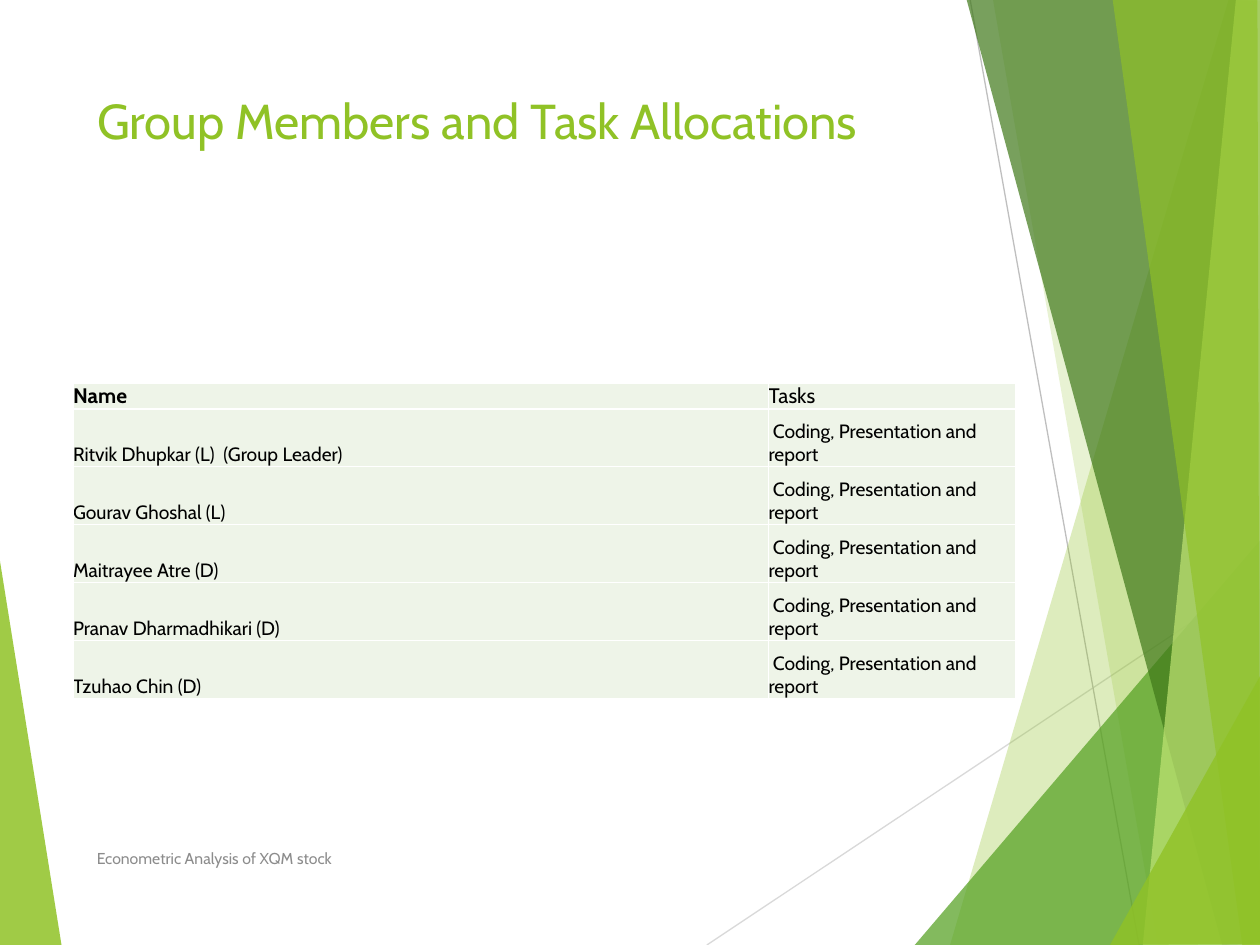
import pptx
import pptx.util
import pptx.dml.color
import pptx.enum.shapes
import pptx.enum.text
import pptx.oxml
import pptx.oxml.ns
from pptx.util import Inches

THEME = {
    "font": "Cabin",
    "accent": "90C226", "text": "000000", "muted": "8C8C8C",
    "cell": "EEF4E8", "border": "FFFFFF",
    "title_size": 28, "header_size": 12, "body_size": 11, "footer_size": 9,
    "line_width": 0.75, "border_width": 1,
}

TITLE = "Group Members and Task Allocations"
FOOTER = "Econometric Analysis of XQM stock"
HEADER = ("Name", "Tasks")
MEMBERS = [
    "Ritvik Dhupkar (L)  (Group Leader)",
    "Gourav Ghoshal (L)",
    "Maitrayee Atre (D)",
    "Pranav Dharmadhikari (D)",
    "Tzuhao Chin (D)",
]
TASK = " Coding, Presentation and report"
COLUMN_WIDTHS = (5.52, 1.96)
HEADER_HEIGHT, MEMBER_HEIGHT = 0.2, 0.46

LEFT_FACET = ("90C226", 85, [(-0.01, 4.39), (0.49, 7.51), (-0.01, 7.5)])
RAYS = [
    ("D9D9D9", (5.61, 7.5), (10.01, 4.57)),
    ("BFBFBF", (7.7, 0), (9.04, 7.5)),
]
RIGHT_FACETS = [
    ("90C226", 30, [(9.75, 0), (7.54, 7.5), (10.02, 7.51), (10.01, 0.01)]),
    ("90C226", 20, [(7.88, -0.01), (9.19, 7.5), (10.01, 7.5), (10.01, -0.01)]),
    ("54A021", 72, [(7.26, 7.5), (10, 4.29), (10.01, 7.5)]),
    ("3F7819", 70, [(7.67, -0.01), (9.7, 7.5), (10.01, 7.49), (10.01, -0.01)]),
    ("C0E474", 70, [(9.81, -0.01), (9.07, 7.5), (10.01, 7.5), (10, -0.01)]),
    ("90C226", 65, [(8.83, -0.01), (9.86, 7.5), (10, 7.5), (9.98, -0.01)]),
    ("90C226", 80, [(8.81, 7.5), (10.01, 5.35), (10.01, 7.49)]),
]


def rgb(color):
    return pptx.dml.color.RGBColor.from_string(color)


def add_child(parent, tag, **attributes):
    child = pptx.oxml.parse_xml(f"<{tag} {pptx.oxml.ns.nsdecls('a')}/>")
    for key, value in attributes.items():
        child.set(key, str(value))
    parent.append(child)
    return child


def write(frame, text, size, color, bold=False):
    frame.text = text
    frame.word_wrap = True
    font = frame.paragraphs[0].runs[0].font
    font.name, font.size, font.bold = THEME["font"], pptx.util.Pt(size), bold
    font.color.rgb = rgb(color)
    frame.paragraphs[0].alignment = pptx.enum.text.PP_ALIGN.LEFT


def add_facet(slide, color, opacity, corners):
    start, *rest = [(Inches(x), Inches(y)) for x, y in corners]
    outline = slide.shapes.build_freeform(*start)
    outline.add_line_segments(rest, close=True)
    facet = outline.convert_to_shape()
    facet.shadow.inherit = False
    facet.line.fill.background()
    facet.fill.solid()
    facet.fill.fore_color.rgb = rgb(color)
    paint = facet.fill._xPr.find(".//" + pptx.oxml.ns.qn("a:srgbClr"))
    add_child(paint, "a:alpha", val=opacity * 1000)


def add_ray(slide, color, start, end):
    ray = slide.shapes.add_connector(
        pptx.enum.shapes.MSO_CONNECTOR.STRAIGHT,
        *[Inches(length) for length in start + end])
    ray.line.color.rgb = rgb(color)
    ray.line.width = pptx.util.Pt(THEME["line_width"])
    add_child(ray._element.spPr, "a:effectLst")


def format_cell(cell, text, size, bold):
    cell.margin_left = cell.margin_right = cell.margin_top = cell.margin_bottom = 0
    cell.vertical_anchor = pptx.enum.text.MSO_ANCHOR.BOTTOM
    properties = cell._tc.get_or_add_tcPr()
    for side in "LRTB":
        border = add_child(properties, f"a:ln{side}",
                           w=pptx.util.Pt(THEME["border_width"]))
        paint = add_child(border, "a:solidFill")
        add_child(paint, "a:srgbClr", val=THEME["border"])
    cell.fill.solid()
    cell.fill.fore_color.rgb = rgb(THEME["cell"])
    write(cell.text_frame, text, size, THEME["text"], bold)


def add_allocations(slide):
    rows = [HEADER] + [(member, TASK) for member in MEMBERS]
    heights = [HEADER_HEIGHT] + [MEMBER_HEIGHT] * len(MEMBERS)
    allocations = slide.shapes.add_table(
        len(rows), len(HEADER), Inches(0.58), Inches(3.04),
        Inches(sum(COLUMN_WIDTHS)), Inches(sum(heights))).table
    allocations.first_row = allocations.horz_banding = False
    for column, width in zip(allocations.columns, COLUMN_WIDTHS):
        column.width = Inches(width)
    for r, (texts, height) in enumerate(zip(rows, heights)):
        allocations.rows[r].height = Inches(height)
        size = THEME["body_size"] if r else THEME["header_size"]
        for c, text in enumerate(texts):
            format_cell(allocations.cell(r, c), text, size, r == c == 0)


def main():
    deck = pptx.Presentation()
    deck.slide_width, deck.slide_height = Inches(10), Inches(7.5)
    slide = deck.slides.add_slide(deck.slide_layouts[5])

    add_facet(slide, *LEFT_FACET)
    for ray in RAYS:
        add_ray(slide, *ray)
    for facet in RIGHT_FACETS:
        add_facet(slide, *facet)

    title = slide.shapes.title
    title.left, title.top = Inches(0.67), Inches(0.67)
    title.width, title.height = Inches(6.94), Inches(0.71)
    title.text_frame.vertical_anchor = pptx.enum.text.MSO_ANCHOR.TOP
    write(title.text_frame, TITLE, THEME["title_size"], THEME["accent"])

    add_allocations(slide)

    footer = slide.shapes.add_textbox(
        Inches(0.67), Inches(6.61), Inches(5.06), Inches(0.4))
    footer.text_frame.vertical_anchor = pptx.enum.text.MSO_ANCHOR.MIDDLE
    write(footer.text_frame, FOOTER, THEME["footer_size"], THEME["muted"])

    deck.save("out.pptx")


if __name__ == "__main__":
    main()
